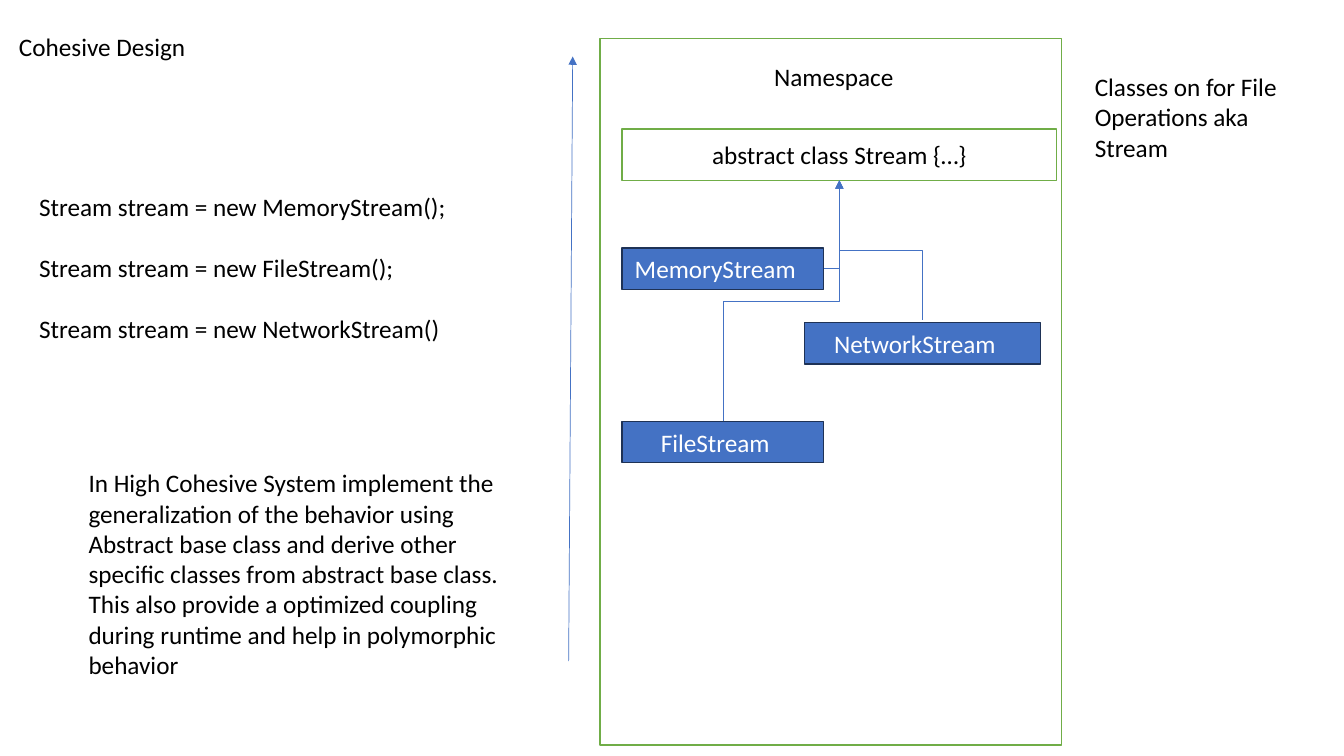
from lxml import etree
from pptx import Presentation
from pptx import util as u
from pptx.dml.color import RGBColor
from pptx.enum import shapes, text
from pptx.oxml.ns import qn

EMU_PER_PX = 9144  # 100 px to the inch
BLACK, WHITE, BLUE, NAVY, GREEN = "000000", "FFFFFF", "4472C4", "1E3256", "70AD47"
CENTER = text.PP_ALIGN.CENTER


def px(length):
    return u.Emu(int(length * EMU_PER_PX))


def color(hex_value):
    return RGBColor.from_string(hex_value)


def write(frame, lines, ink, align=None, gap=0):
    frame.word_wrap = True
    frame.text = "\n".join(lines)
    for i, line in enumerate(frame.paragraphs):
        line.alignment = align
        if i and gap:
            line.space_before = u.Pt(gap)
        for run in line.runs:
            run.font.name, run.font.size = "Calibri", u.Pt(18)
            run.font.color.rgb = color(ink)


def note(slide, box, lines, align=None, gap=0):
    label = slide.shapes.add_textbox(*map(px, box))
    write(label.text_frame, lines, BLACK, align, gap)
    label.text_frame.auto_size = text.MSO_AUTO_SIZE.SHAPE_TO_FIT_TEXT


def panel(slide, box, fill, outline):
    rect = slide.shapes.add_shape(shapes.MSO_SHAPE.RECTANGLE, *map(px, box))
    rect.shadow.inherit = False
    rect.fill.solid()
    rect.fill.fore_color.rgb = color(fill)
    rect.line.color.rgb = color(outline)
    rect.line.width = u.Pt(1)
    return rect


def class_box(slide, box, name, fill, outline, ink, right_inset=10):
    rect = panel(slide, box, fill, outline)
    write(rect.text_frame, [name], ink, CENTER)
    rect.text_frame.vertical_anchor = text.MSO_ANCHOR.MIDDLE
    rect.text_frame.margin_right = px(right_inset)


def arrow(slide, kind, start, end):
    link = slide.shapes.add_connector(kind, *map(px, (*start, *end)))
    link.line.color.rgb = color(BLUE)
    link.line.width = u.Pt(0.5)
    head = etree.SubElement(link.line._get_or_add_ln(), qn("a:tailEnd"))
    head.set("type", "triangle")
    etree.SubElement(link._element.spPr, qn("a:effectLst"))
    return link


def corner_arrow(slide, start, end):
    """Run sideways, then up."""
    link = arrow(slide, shapes.MSO_CONNECTOR.ELBOW, start, end)
    link._element.spPr.find(qn("a:prstGeom")).set("prst", "bentConnector2")


def rising_arrow(slide, start, end):
    """Run up, sideways at half height, then up: an elbow turned by 270 degrees."""
    (x1, y1), (x2, y2) = start, end
    mid_x, mid_y = (x1 + x2) / 2, (y1 + y2) / 2
    along, across = (y1 - y2) / 2, (x1 - x2) / 2
    link = arrow(slide, shapes.MSO_CONNECTOR.ELBOW,
                 (mid_x - along, mid_y + across), (mid_x + along, mid_y - across))
    link._element.spPr.find(qn("a:xfrm")).set("rot", str(270 * 60000))


def usage_column(slide, box):
    left, top, width, height = box
    note(slide, (left, top, 420, 40), ["Cohesive Design"])
    note(slide, (left + 20, top + 159, 529, 162),
         ["Stream stream = new MemoryStream();",
          "Stream stream = new FileStream();",
          "Stream stream = new NetworkStream()"], gap=22)
    note(slide, (left + 69, top + 433, 427, 222),
         ["In High Cohesive System implement the generalization of the behavior "
          "using Abstract base class and derive other specific classes from abstract "
          "base class. This also provide a optimized coupling during runtime and help "
          "in polymorphic behavior"])
    arrow(slide, shapes.MSO_CONNECTOR.STRAIGHT,
          (left + width - 4, top + height), (left + width, top + 30))


def namespace_diagram(slide, box):
    left, top, width, height = box
    panel(slide, box, WHITE, GREEN)
    note(slide, (left + 11, top + 18, width - 16, 40), ["Namespace"], CENTER)

    # Base class
    base_left, base_top, base_width, base_height = left + 22, top + 90, 431, 51
    class_box(slide, (base_left, base_top, base_width, base_height),
              "abstract class Stream {…}", WHITE, GREEN, BLACK)
    base_foot = (base_left + base_width / 2, base_top + base_height)

    # Derived classes
    derived = {
        "MemoryStream": (base_left, top + 208, 200, 41),
        "NetworkStream": (left + 203, top + 282, 234, 41),
        "FileStream": (base_left, top + 380, 200, 41),
    }
    for name, place in derived.items():
        class_box(slide, place, name, BLUE, NAVY, WHITE, right_inset=25)

    # Inheritance arrows
    x, y, w, h = derived["MemoryStream"]
    corner_arrow(slide, (x + w, y + h / 2), base_foot)
    for name, lift in (("NetworkStream", 3), ("FileStream", 0)):
        x, y, w, h = derived[name]
        rising_arrow(slide, (x + w / 2, y - lift), base_foot)


def main():
    deck = Presentation()
    deck.slide_width, deck.slide_height = px(1333), px(750)
    slide = deck.slides.add_slide(deck.slide_layouts[6])
    usage_column(slide, (9, 26, 559, 630))
    namespace_diagram(slide, (595, 38, 458, 701))
    note(slide, (1076, 66, 229, 101), ["Classes on for File Operations aka Stream"])
    deck.save("out.pptx")


if __name__ == "__main__":
    main()
